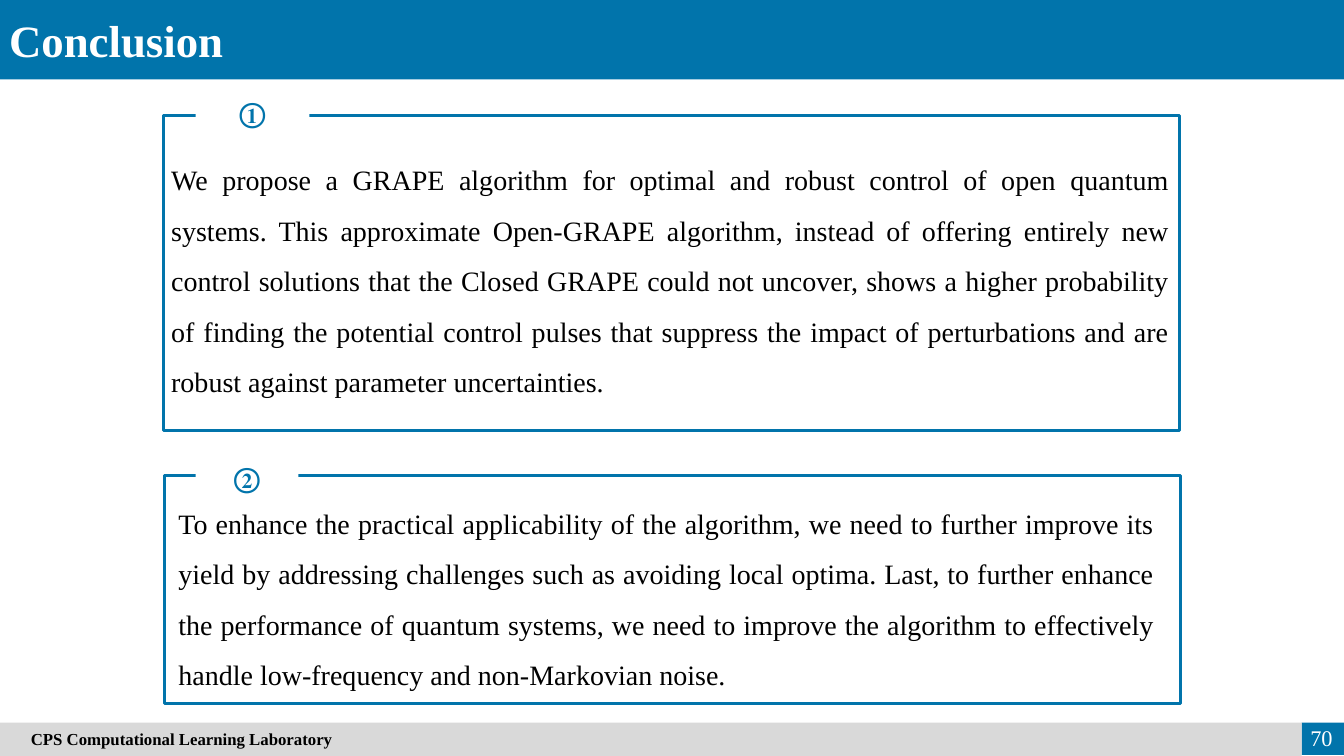
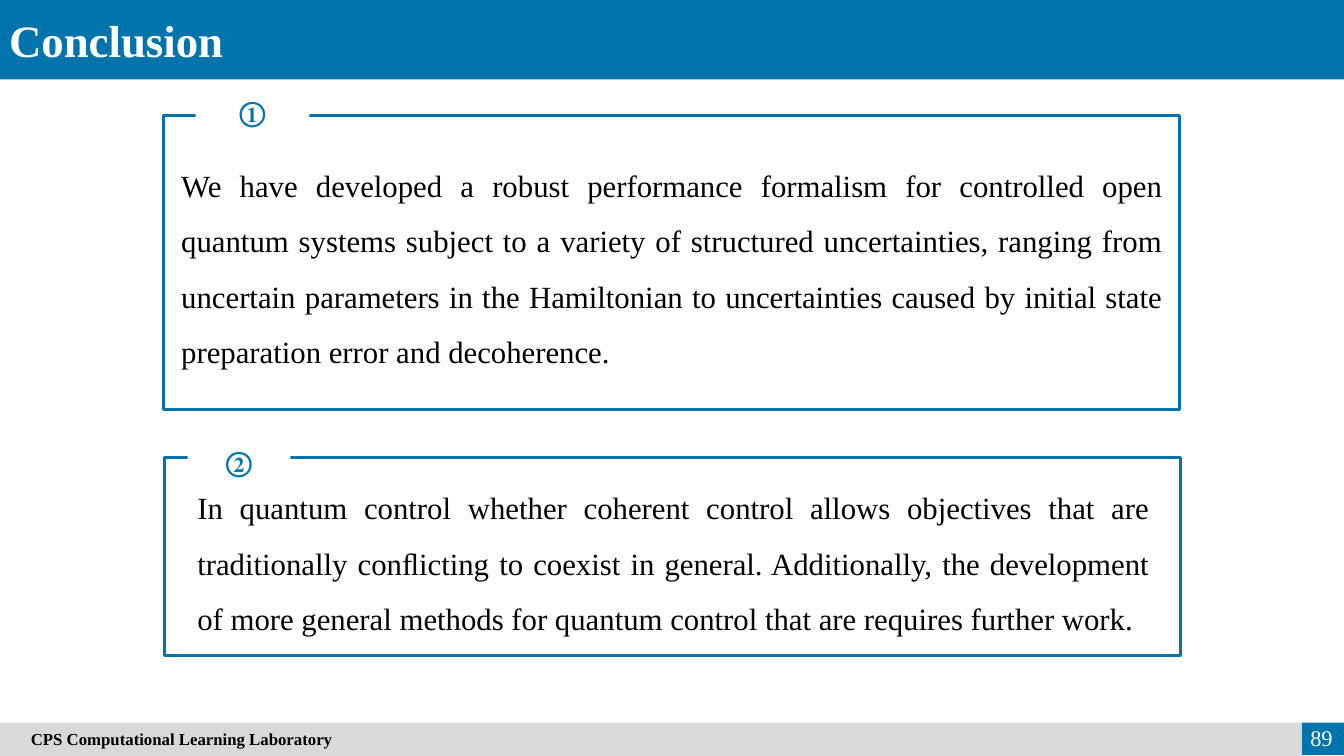
from pptx import Presentation
from pptx.dml.color import RGBColor
from pptx.enum.shapes import MSO_SHAPE as Preset
from pptx.enum.text import MSO_ANCHOR as Anchor, PP_ALIGN as Align
from pptx.util import Pt

BLUE = RGBColor(0x01, 0x74, 0xAB)
GREY = RGBColor(0xD9, 0xD9, 0xD9)
WHITE = RGBColor(0xFF, 0xFF, 0xFF)
BLACK = RGBColor(0x00, 0x00, 0x00)
FONT = "Times New Roman"
WIDTH, HEIGHT = 960, 540
INSET = 7.2
TITLE_HEIGHT = 56.8
FOOTER_TOP = 516.2
PAGE_LEFT = 929.8
FRAME_WIDTH = 725.8
BADGE_HEIGHT = 39.6

CONCLUSIONS = [
    ("70", 20, [
        ("①", (116.8, 82.5, 224.9), (139.7, 60.6, 81.4), (115.2, 100.8, 727.2),
         "We propose a GRAPE algorithm for optimal and robust control of open "
         "quantum systems. This approximate Open-GRAPE algorithm, instead of "
         "offering entirely new control solutions that the Closed GRAPE could "
         "not uncover, shows a higher probability of finding the potential "
         "control pulses that suppress the impact of perturbations and are "
         "robust against parameter uncertainties."),
        ("②", (117.2, 339.8, 162.9), (139.7, 321.3, 73.4), (120.3, 346.3, 711.4),
         "To enhance the practical applicability of the algorithm, we need to "
         "further improve its yield by addressing challenges such as avoiding "
         "local optima. Last, to further enhance the performance of quantum "
         "systems, we need to improve the algorithm to effectively handle "
         "low-frequency and non-Markovian noise."),
    ]),
    ("89", 22, [
        ("①", (116.8, 82.2, 210.2), (139.7, 59.9, 81.4), (122.4, 102.2, 715),
         "We have developed a robust performance formalism for controlled open "
         "quantum systems subject to a variety of structured uncertainties, "
         "ranging from uncertain parameters in the Hamiltonian to uncertainties "
         "caused by initial state preparation error and decoherence."),
        ("②", (117.2, 326.8, 141.6), (134, 309.8, 73.4), (133.9, 332.6, 694.1),
         "In quantum control whether coherent control allows objectives that are "
         "traditionally conﬂicting to coexist in general. Additionally, the "
         "development of more general methods for quantum control that are "
         "requires further work."),
    ]),
]


class Deck:
    def __init__(self):
        self.prs = Presentation()
        self.prs.slide_width, self.prs.slide_height = Pt(WIDTH), Pt(HEIGHT)
        self.slide = None

    def set_text(self, holder, text, size, color, bold=False, align=Align.LEFT,
                 anchor=Anchor.TOP, inset=INSET, spacing=None):
        frame = holder.text_frame
        frame.word_wrap = True
        frame.vertical_anchor = anchor
        frame.margin_left = Pt(inset)
        line = frame.paragraphs[0]
        line.text = text
        line.alignment = align
        line.line_spacing = spacing
        line.font.name, line.font.size = FONT, Pt(size)
        line.font.bold, line.font.color.rgb = bold, color

    def rect(self, left, top, width, height, fill=None, outline=None):
        box = self.slide.shapes.add_shape(
            Preset.RECTANGLE, Pt(left), Pt(top), Pt(width), Pt(height))
        box.shadow.inherit = False
        if fill is None:
            box.fill.background()
        else:
            box.fill.solid()
            box.fill.fore_color.rgb = fill
        if outline is None:
            box.line.fill.background()
        else:
            box.line.color.rgb, box.line.width = outline, Pt(2.25)
        return box

    def label(self, left, top, width, height, text, size, color, **style):
        box = self.slide.shapes.add_textbox(Pt(left), Pt(top), Pt(width), Pt(height))
        self.set_text(box, text, size, color, **style)

    def page(self, title, laboratory, number):
        self.slide = self.prs.slides.add_slide(self.prs.slide_layouts[6])
        self.rect(0, 0, WIDTH, TITLE_HEIGHT, BLUE)
        self.label(0, 5.6, 386, 46, title, 32, WHITE, bold=True, inset=6.5)
        self.rect(PAGE_LEFT, FOOTER_TOP, WIDTH - PAGE_LEFT, 23, BLUE)
        footer = self.rect(0, FOOTER_TOP, PAGE_LEFT, HEIGHT - FOOTER_TOP, GREY)
        self.set_text(footer, laboratory, 12, BLACK, bold=True,
                      anchor=Anchor.MIDDLE, inset=22)
        self.label(913.6, 513.6, 45.4, 26.4, number, 16, WHITE,
                   align=Align.RIGHT, anchor=Anchor.MIDDLE)

    def panel(self, mark, frame, badge, passage, text, size):
        left, top, height = frame
        self.rect(left, top, FRAME_WIDTH, height, outline=BLUE)
        tab = self.rect(*badge, BADGE_HEIGHT, fill=WHITE)
        self.set_text(tab, mark, 20, BLUE, bold=True, align=Align.CENTER,
                      anchor=Anchor.MIDDLE)
        text_left, text_top, text_width = passage
        self.label(text_left, text_top, text_width, top + height - text_top,
                   text, size, BLACK, align=Align.JUSTIFY, spacing=1.5)


def main():
    deck = Deck()
    for number, size, findings in CONCLUSIONS:
        deck.page("Conclusion", "CPS Computational Learning Laboratory", number)
        for finding in findings:
            deck.panel(*finding, size)
    deck.prs.save("out.pptx")


if __name__ == "__main__":
    main()
